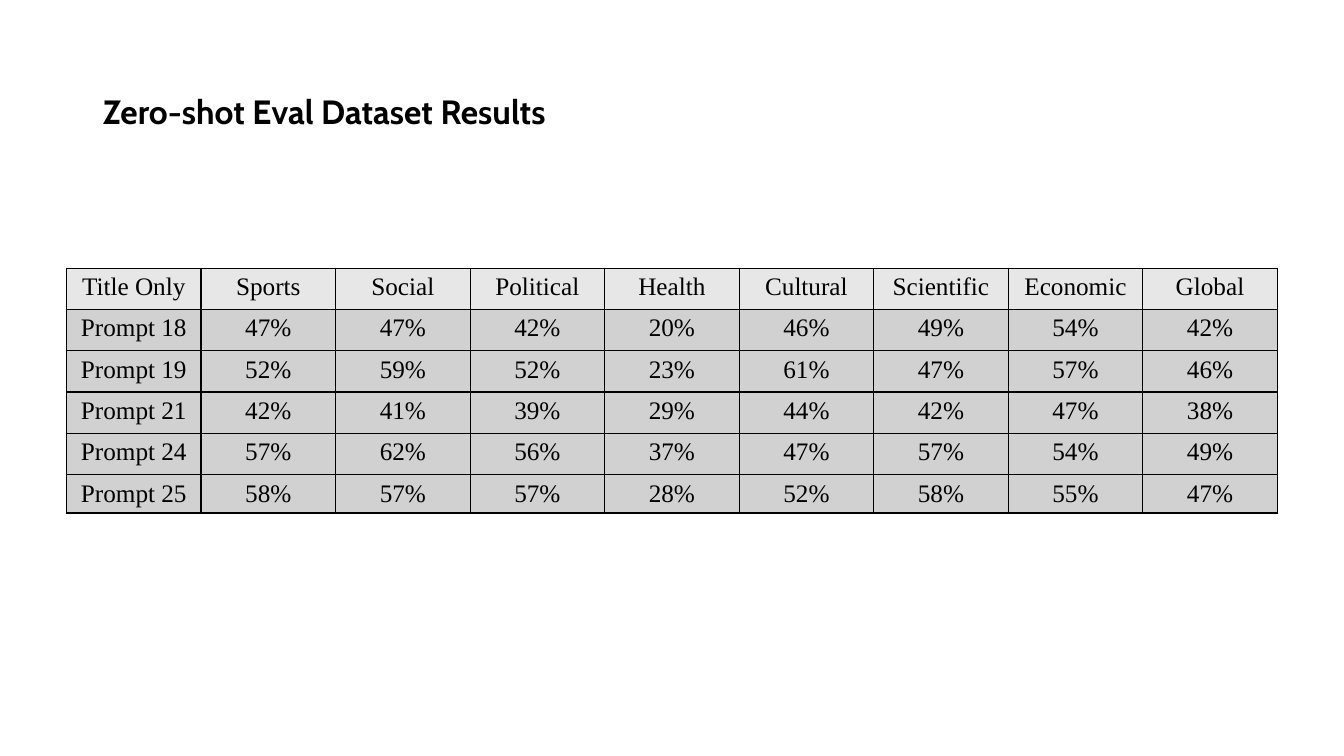
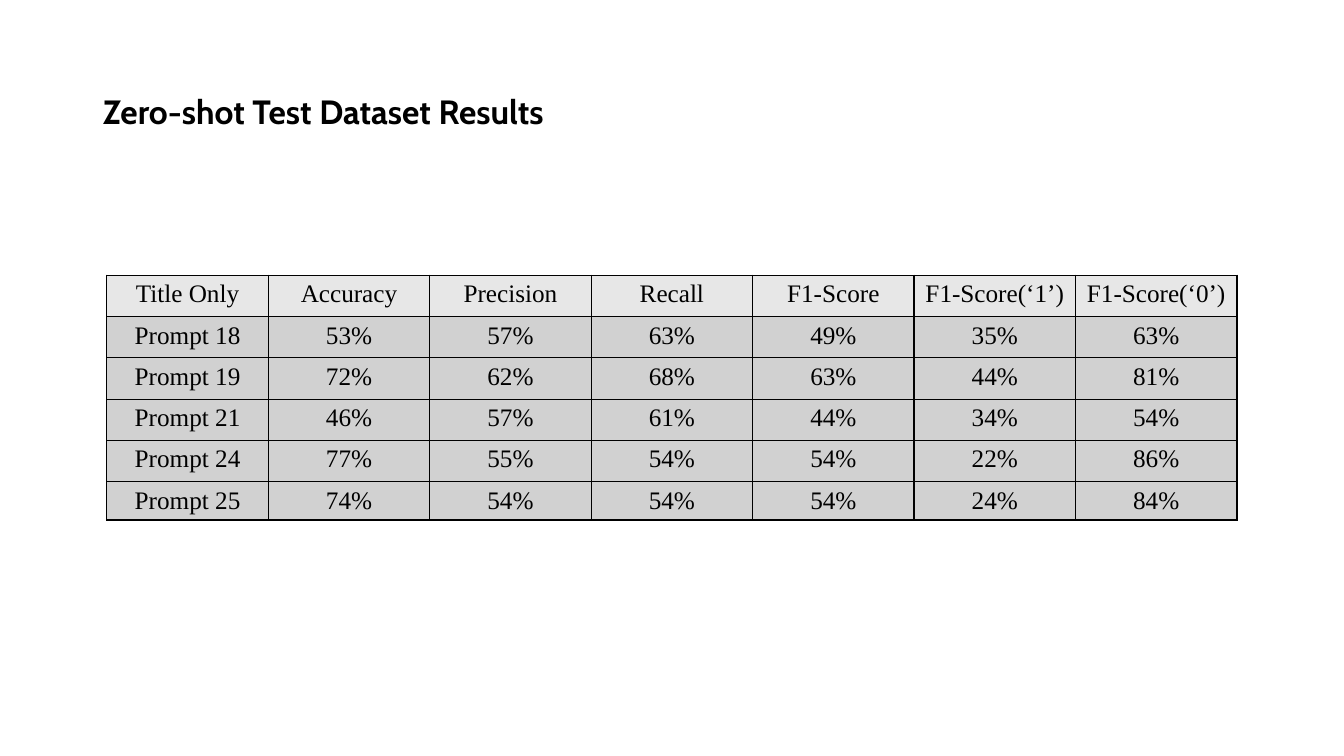
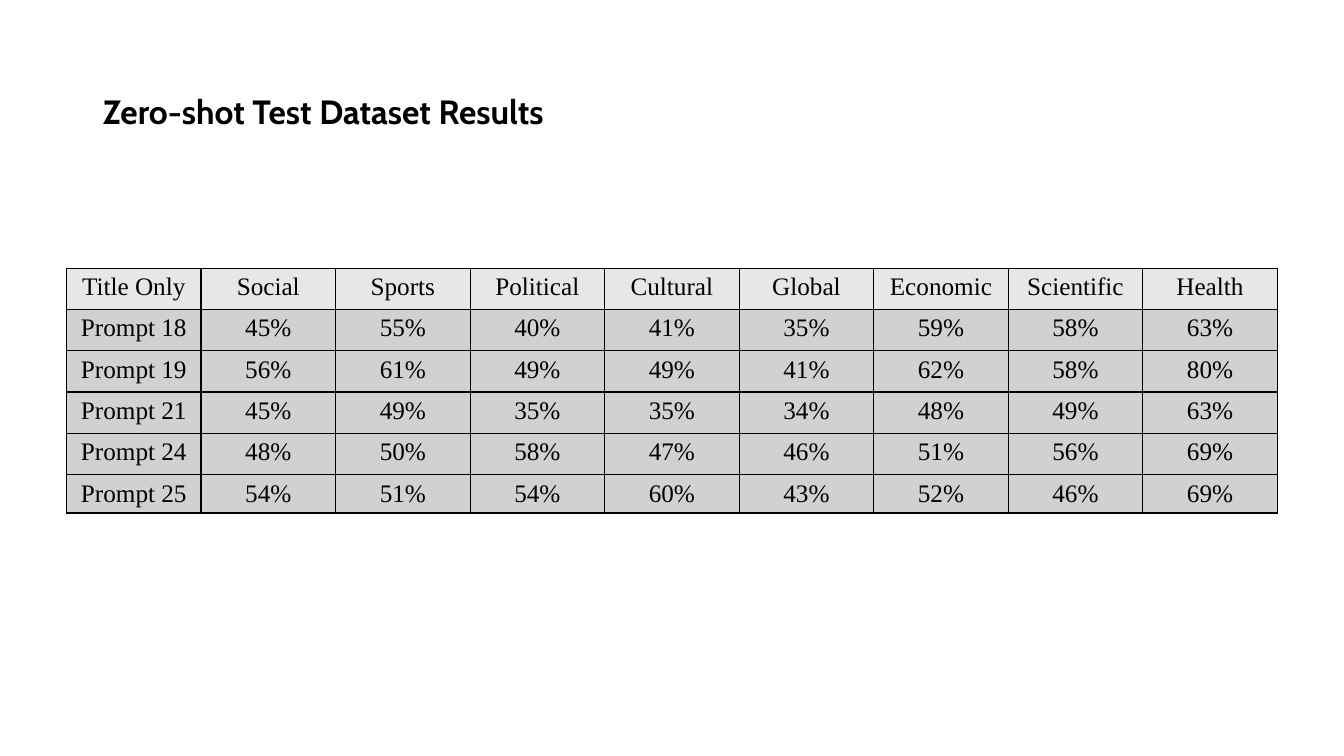
"""Build three slides of zero-shot prompt results, one table on each."""
from lxml.etree import SubElement
from pptx import Presentation
from pptx.dml.color import RGBColor
from pptx.enum.text import MSO_ANCHOR, PP_ALIGN
from pptx.oxml.ns import qn
from pptx.util import Inches, Pt

BLACK = RGBColor(0x00, 0x00, 0x00)
HEADER_GREY = RGBColor(0xE7, 0xE7, 0xE7)
BODY_GREY = RGBColor(0xD1, 0xD1, 0xD1)
TITLE_FONT, TABLE_FONT = "Cabin", "Times New Roman"

SLIDE_W, SLIDE_H = 13.33, 7.5
TITLE_BOX = (0.92, 0.4, 11.5, 1.45)
ROW_H, LAST_ROW_H = 0.41, 0.38
BORDER = Pt(1)
TITLE_ONLY = 5

PROMPTS = ("Prompt 18", "Prompt 19", "Prompt 21", "Prompt 24", "Prompt 25")

RESULTS = [
    {
        "title": "Zero-shot Eval Dataset Results",
        "top": 2.66,
        "width": 12.01,
        "measures": ("Sports", "Social", "Political", "Health",
                     "Cultural", "Scientific", "Economic", "Global"),
        "percents": [
            (47, 47, 42, 20, 46, 49, 54, 42),
            (52, 59, 52, 23, 61, 47, 57, 46),
            (42, 41, 39, 29, 44, 42, 47, 38),
            (57, 62, 56, 37, 47, 57, 54, 49),
            (58, 57, 57, 28, 52, 58, 55, 47),
        ],
    },
    {
        "title": "Zero-shot Test Dataset Results",
        "top": 2.73,
        "width": 11.21,
        "measures": ("Accuracy", "Precision", "Recall", "F1-Score",
                     "F1-Score(‘1’)", "F1-Score(‘0’)"),
        "percents": [
            (53, 57, 63, 49, 35, 63),
            (72, 62, 68, 63, 44, 81),
            (46, 57, 61, 44, 34, 54),
            (77, 55, 54, 54, 22, 86),
            (74, 54, 54, 54, 24, 84),
        ],
    },
    {
        "title": "Zero-shot Test Dataset Results",
        "top": 2.66,
        "width": 12.01,
        "measures": ("Social", "Sports", "Political", "Cultural",
                     "Global", "Economic", "Scientific", "Health"),
        "percents": [
            (45, 55, 40, 41, 35, 59, 58, 63),
            (56, 61, 49, 49, 41, 62, 58, 80),
            (45, 49, 35, 35, 34, 48, 49, 63),
            (48, 50, 58, 47, 46, 51, 56, 69),
            (54, 51, 54, 60, 43, 52, 46, 69),
        ],
    },
]


def style_paragraph(paragraph, font_name, size, align, bold=False):
    paragraph.alignment = align
    font = paragraph.font
    font.name, font.size, font.bold = font_name, Pt(size), bold
    font.color.rgb = BLACK


def add_title(slide, text):
    title = slide.shapes.title
    title.left, title.top, title.width, title.height = map(Inches, TITLE_BOX)
    title.text_frame.text = text
    title.text_frame.vertical_anchor = MSO_ANCHOR.MIDDLE
    heading = title.text_frame.paragraphs[0]
    heading.line_spacing = 0.9
    style_paragraph(heading, TITLE_FONT, 24, PP_ALIGN.LEFT, bold=True)


def draw_borders(cell):
    properties = cell._tc.get_or_add_tcPr()
    for side in ("a:lnL", "a:lnR", "a:lnT", "a:lnB"):
        line = SubElement(properties, qn(side), w=str(BORDER))
        fill = SubElement(line, qn("a:solidFill"))
        SubElement(fill, qn("a:srgbClr"), val=str(BLACK))


def fill_cell(cell, text, grey):
    cell.text = text
    style_paragraph(cell.text_frame.paragraphs[0], TABLE_FONT, 18, PP_ALIGN.CENTER)
    draw_borders(cell)
    cell.fill.solid()
    cell.fill.fore_color.rgb = grey


def add_results(slide, result):
    rows = [("Title Only", *result["measures"])]
    for prompt, percents in zip(PROMPTS, result["percents"]):
        rows.append((prompt, *(f"{percent}%" for percent in percents)))
    heights = [ROW_H] * (len(rows) - 1) + [LAST_ROW_H]
    width = result["width"]
    table = slide.shapes.add_table(
        len(rows), len(rows[0]), Inches((SLIDE_W - width) / 2),
        Inches(result["top"]), Inches(width), Inches(sum(heights))).table
    for column in table.columns:
        column.width = Inches(width / len(rows[0]))
    for r, (texts, height) in enumerate(zip(rows, heights)):
        table.rows[r].height = Inches(height)
        for c, text in enumerate(texts):
            fill_cell(table.cell(r, c), text, BODY_GREY if r else HEADER_GREY)


def main():
    deck = Presentation()
    deck.slide_width, deck.slide_height = Inches(SLIDE_W), Inches(SLIDE_H)
    for result in RESULTS:
        slide = deck.slides.add_slide(deck.slide_layouts[TITLE_ONLY])
        add_title(slide, result["title"])
        add_results(slide, result)
    deck.save("out.pptx")


if __name__ == "__main__":
    main()
